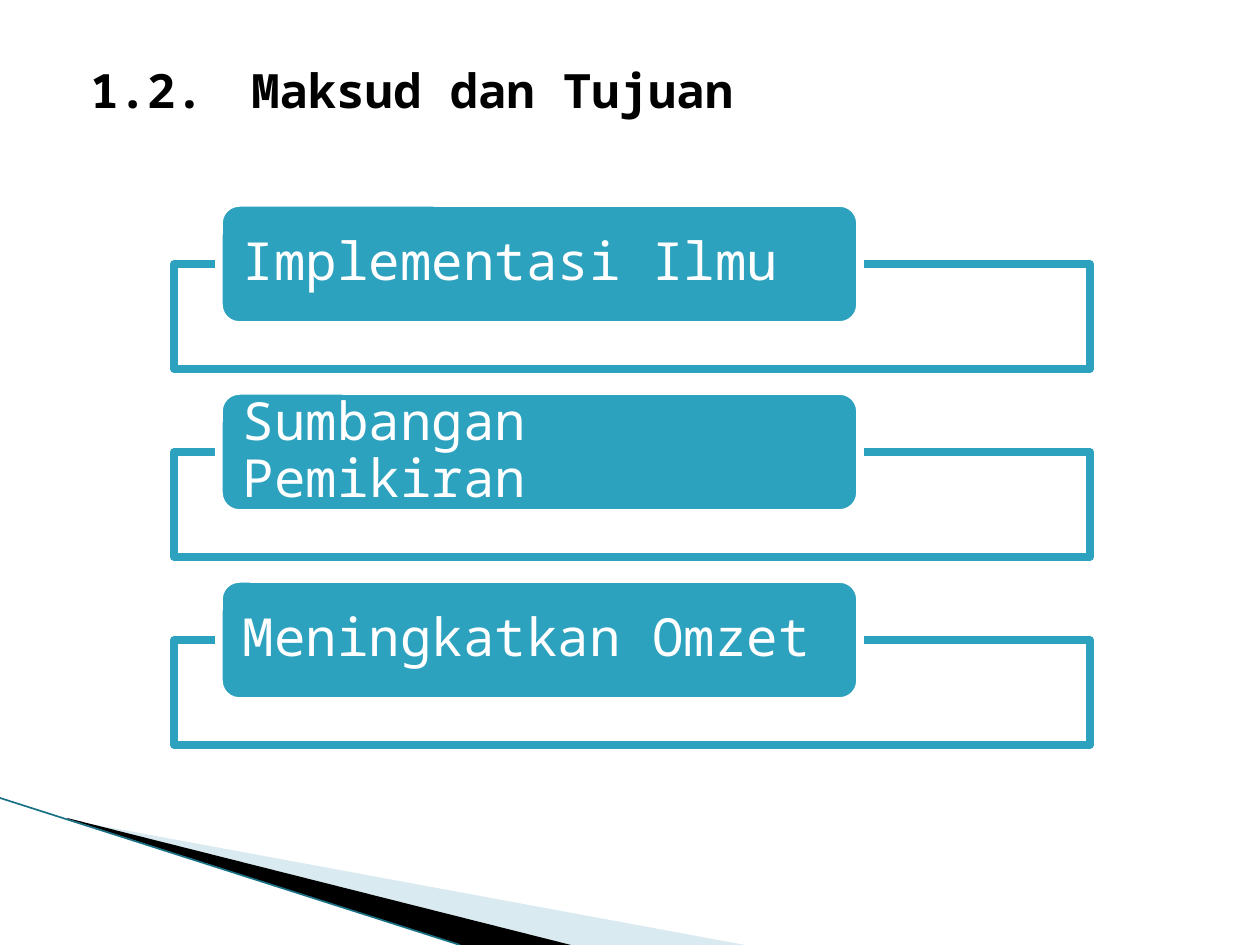
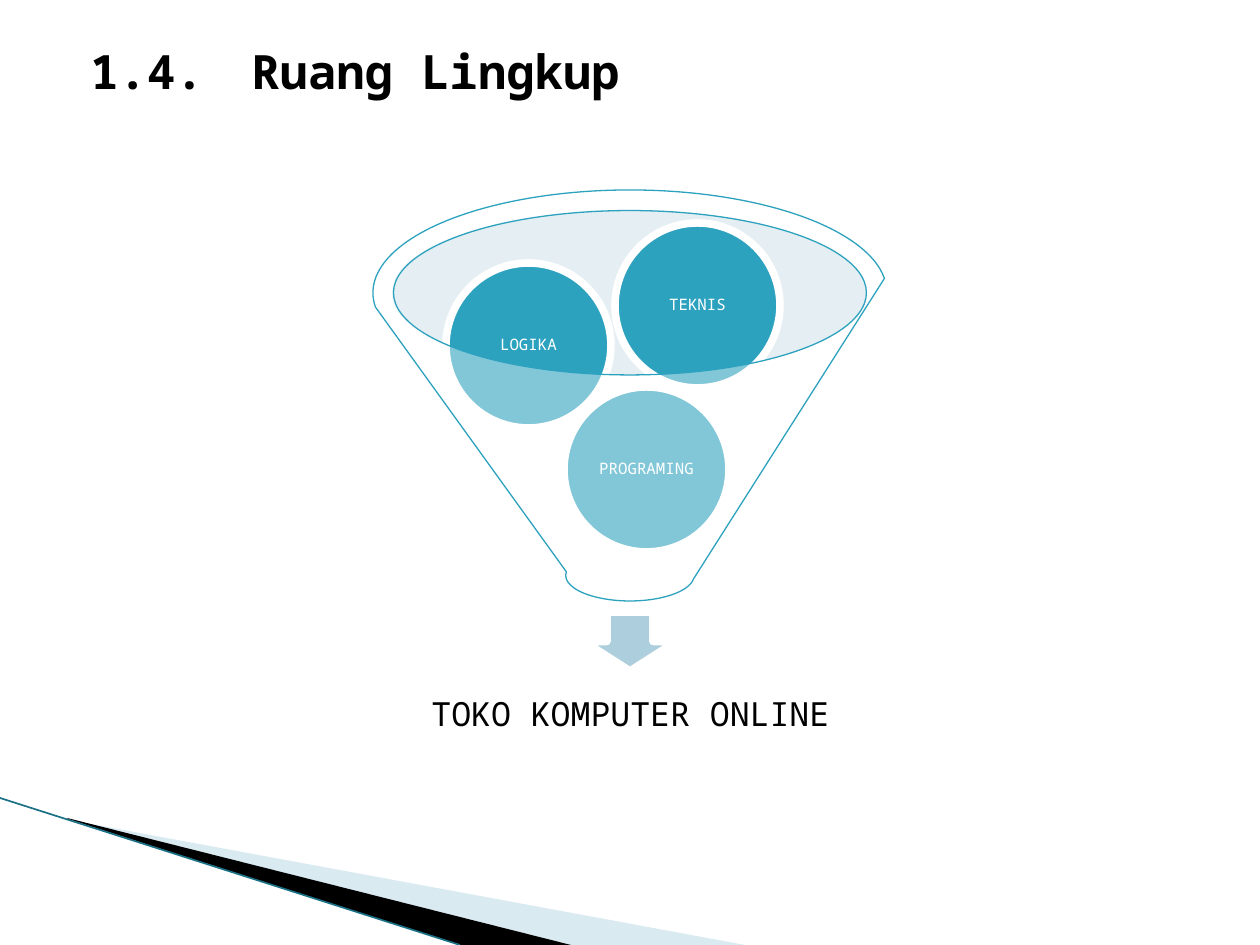
from dataclasses import dataclass
from typing import Any

from lxml.etree import SubElement
from pptx import Presentation
from pptx.dml.color import RGBColor
from pptx.enum.shapes import MSO_CONNECTOR, MSO_SHAPE
from pptx.enum.text import MSO_ANCHOR, PP_ALIGN
from pptx.oxml.ns import qn
from pptx.util import Pt

UNIT = 914400 / 126
WIDE, HIGH = 1260, 945
FONT = "Noto Sans Mono"
HUES = {
    "teal": "2DA2BF",
    "white": "FFFFFF",
    "black": "000000",
    "pale": "A0CBDC",
    "mist": "BED7E2",
    "arrow": "ADCEDC",
    "edge": "1A7186",
}


@dataclass(frozen=True)
class Box:
    """Place and size in px."""
    left: int
    top: int
    wide: int
    high: int

    def emu(self) -> list[int]:
        """Give the four lengths in EMU."""
        return [emu(n) for n in (self.left, self.top, self.wide, self.high)]


@dataclass(frozen=True)
class Look:
    """Fill, opacity in percent, line colour and line width in points."""
    fill: str
    alpha: int = 100
    line: str = ""
    width: float = 4.33


@dataclass(frozen=True)
class Type:
    """Text size, colour, alignment and side and top insets."""
    size: int
    hue: str
    align: PP_ALIGN
    side: int
    top: int


@dataclass(frozen=True)
class Wedge:
    """Closed outline of the corner band."""
    spots: tuple[tuple[int, int], ...]
    look: Look


@dataclass(frozen=True)
class Ball:
    """Labelled ball in the funnel."""
    label: str
    left: int
    top: int


FRAME = Look("white", 90, "teal")
SOLID = Look("teal", 100, "white")
LABEL = Type(30, "white", PP_ALIGN.LEFT, 18, 0)
SMALL = Type(9, "white", PP_ALIGN.CENTER, 1, 1)
RESULT = Type(19, "black", PP_ALIGN.CENTER, 19, 19)
BAND = (
    Wedge(((69, 820), (745, 945), (571, 945), (69, 819)), Look("pale", 40)),
    Wedge(((67, 818), (571, 945), (460, 945), (68, 819)), Look("black")),
)
GOALS = ("Implementasi Ilmu", "Sumbangan Pemikiran", "Meningkatkan Omzet")
BALLS = (
    Ball("PROGRAMING", 564, 387),
    Ball("LOGIKA", 446, 263),
    Ball("TEKNIS", 615, 223),
)


def emu(length: int) -> int:
    """Turn px into EMU."""
    return round(length * UNIT)


def tint(name: str) -> RGBColor:
    """Look up a colour."""
    return RGBColor.from_string(HUES[name])


def apply(target: Any, values: dict[str, Any]) -> None:
    """Set each format value on the target."""
    for key, value in values.items():
        setattr(target, key, value)


def paint(shape: Any, look: Look) -> None:
    """Give a shape its fill and line."""
    shape.shadow.inherit = False
    shape.fill.solid()
    shape.fill.fore_color.rgb = tint(look.fill)
    if look.alpha < 100:
        hue = shape.element.spPr.xpath("a:solidFill/a:srgbClr")[0]
        SubElement(hue, qn("a:alpha"), val=str(look.alpha * 1000))
    if look.line:
        shape.line.color.rgb = tint(look.line)
        shape.line.width = Pt(look.width)
    else:
        shape.line.fill.background()


def add(slide: Any, kind: MSO_SHAPE, box: Box, look: Look) -> Any:
    """Draw a preset shape."""
    shape = slide.shapes.add_shape(kind, *box.emu())
    paint(shape, look)
    return shape


def style(run: Any, size: int, hue: str, bold: bool = False) -> None:
    """Set the font of a run."""
    apply(run.font, {"name": FONT, "size": Pt(size), "bold": bold})
    run.font.color.rgb = tint(hue)


def write(shape: Any, text: str, kind: Type) -> None:
    """Write one centred line of text in a shape."""
    side, top = emu(kind.side), emu(kind.top)
    frame = shape.text_frame
    apply(frame, {
        "word_wrap": True, "vertical_anchor": MSO_ANCHOR.MIDDLE,
        "margin_left": side, "margin_right": side,
        "margin_top": top, "margin_bottom": top,
    })
    para = frame.paragraphs[0]
    apply(para, {"alignment": kind.align, "line_spacing": 0.9})
    run = para.add_run()
    run.text = text
    style(run, kind.size, kind.hue)


def base(deck: Any, mark: str, name: str, top: int) -> Any:
    """Start a slide with its corner band and title."""
    slide = deck.slides.add_slide(deck.slide_layouts[6])
    for wedge in BAND:
        pen = slide.shapes.build_freeform(*wedge.spots[0], scale=UNIT)
        pen.add_line_segments(wedge.spots[1:], close=True)
        paint(pen.convert_to_shape(), wedge.look)
    edge = slide.shapes.add_connector(
        MSO_CONNECTOR.STRAIGHT, 0, emu(798), emu(460), emu(HIGH))
    edge.line.color.rgb = tint("edge")
    edge.line.width = Pt(0.95)
    SubElement(edge.element.spPr, qn("a:effectLst"))

    title = slide.shapes.add_textbox(*Box(63, top, 1134, 80).emu())
    title.text_frame.word_wrap = True
    para = title.text_frame.paragraphs[0]
    para.space_before = Pt(4)
    props = para._p.get_or_add_pPr()
    props.set("marL", str(emu(50)))
    props.set("indent", str(emu(-35)))
    run = para.add_run()
    run.text = f"{mark}\t{name}"
    style(run, 27, "black", True)
    return slide


def goals(deck: Any) -> None:
    """Build the slide of three goals."""
    slide = base(deck, "1.2.", "Maksud dan Tujuan", 55)
    for row, goal in enumerate(GOALS):
        drop = row * 188
        add(slide, MSO_SHAPE.RECTANGLE, Box(174, 264 + drop, 916, 105), FRAME)
        tab = add(slide, MSO_SHAPE.ROUNDED_RECTANGLE,
                  Box(219, 203 + drop, 641, 122), SOLID)
        write(tab, goal, LABEL)


def scope(deck: Any) -> None:
    """Build the funnel slide."""
    slide = base(deck, "1.4.", "Ruang Lingkup", 36)
    add(slide, MSO_SHAPE.OVAL, Box(392, 210, 474, 165), Look("mist", 40))
    add(slide, MSO_SHAPE.DOWN_ARROW, Box(584, 612, 92, 59),
        Look("arrow", 100, "white"))
    result = slide.shapes.add_textbox(*Box(410, 648, 441, 135).emu())
    write(result, "TOKO KOMPUTER ONLINE", RESULT)
    for ball in BALLS:
        disc = add(slide, MSO_SHAPE.OVAL,
                   Box(ball.left, ball.top, 165, 165), SOLID)
        write(disc, ball.label, SMALL)
    add(slide, MSO_SHAPE.FUNNEL, Box(373, 190, 514, 411),
        Look("white", 40, "teal", 0.75))


def main() -> None:
    """Build and save the deck."""
    deck = Presentation()
    apply(deck, {"slide_width": emu(WIDE), "slide_height": emu(HIGH)})
    goals(deck)
    scope(deck)
    deck.save("out.pptx")


if __name__ == "__main__":
    main()
